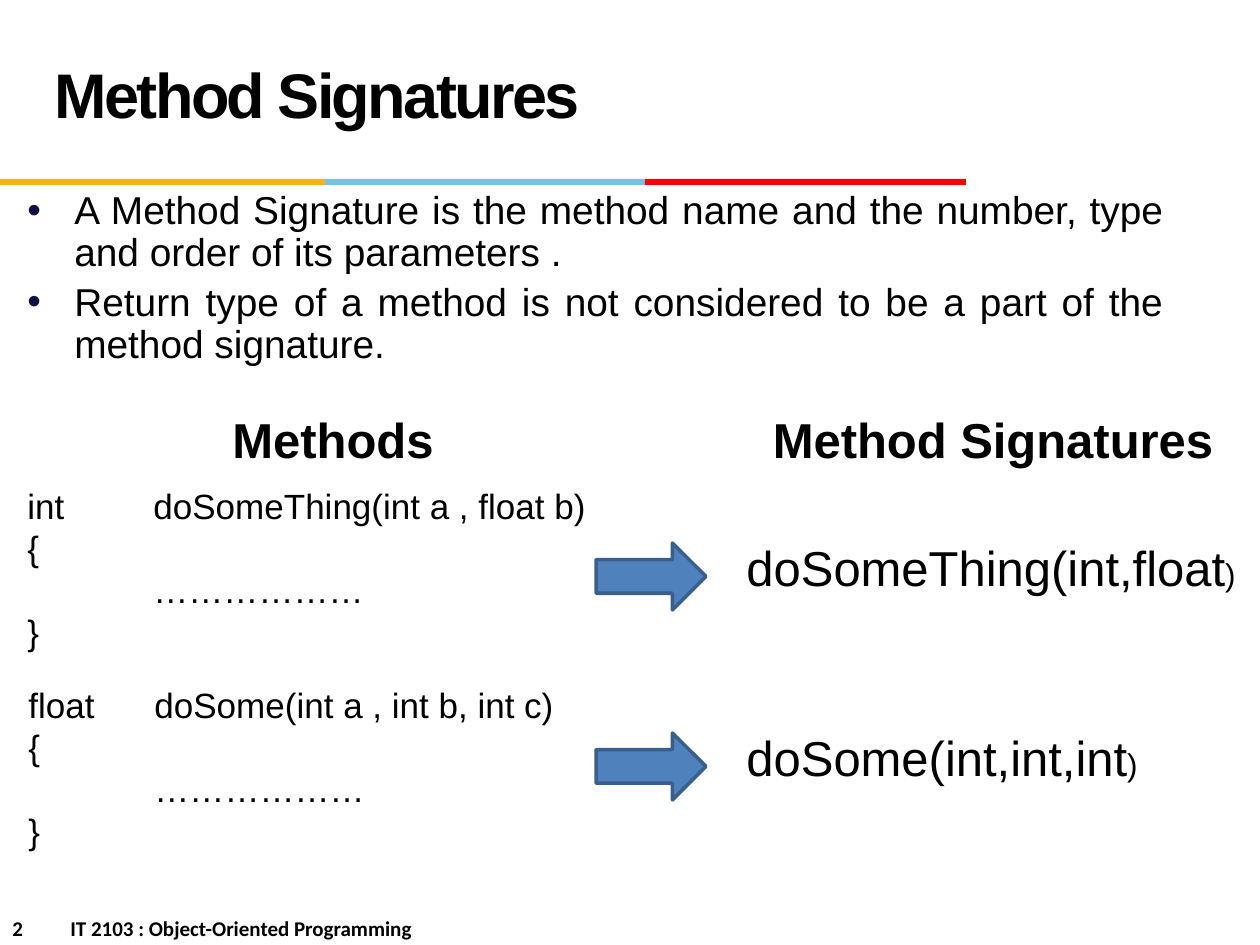
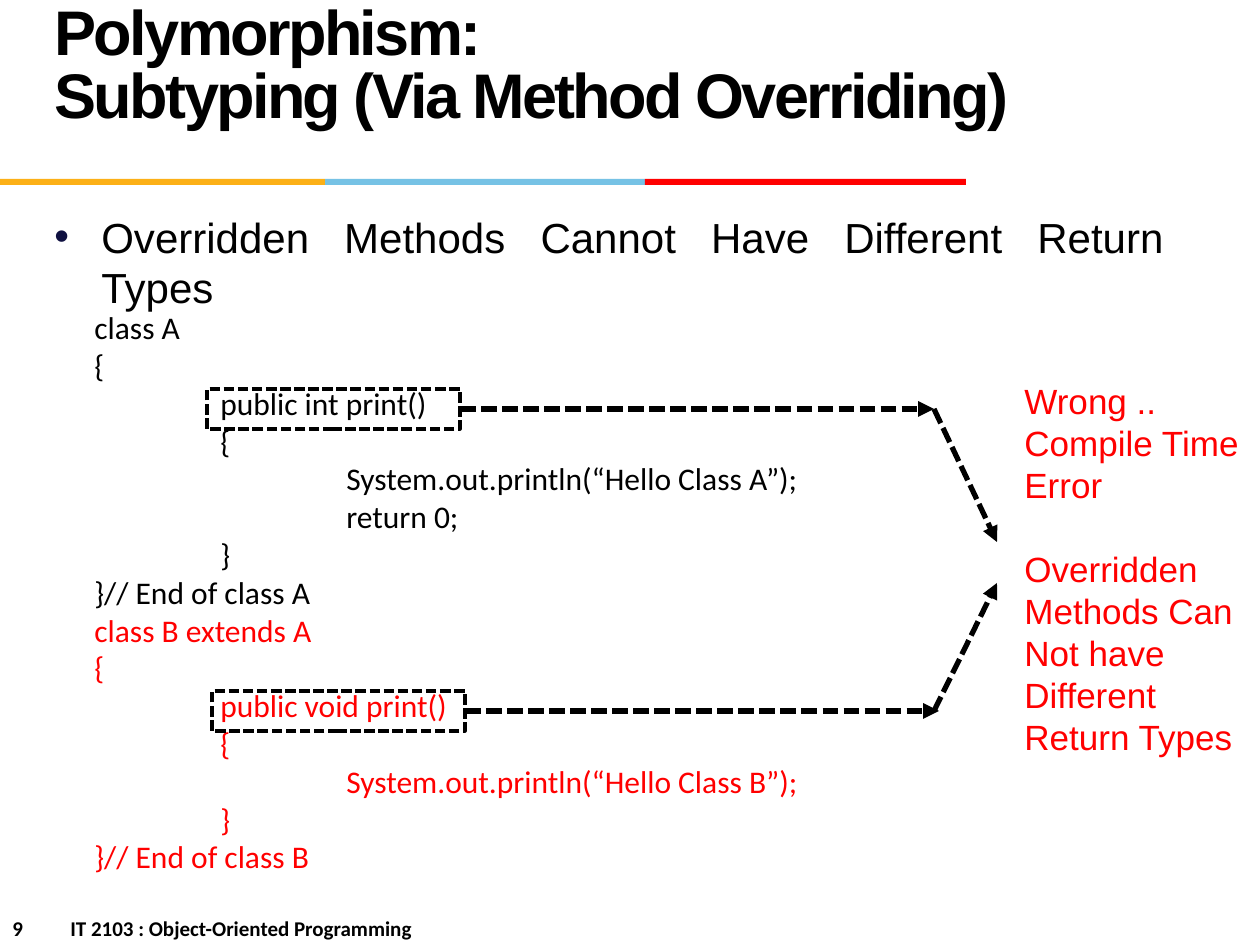
from lxml.etree import SubElement
from pptx import Presentation
from pptx.dml.color import RGBColor
from pptx.enum.dml import MSO_LINE
from pptx.enum.shapes import MSO_CONNECTOR, MSO_SHAPE
from pptx.enum.text import MSO_ANCHOR, MSO_AUTO_SIZE, PP_ALIGN
from pptx.oxml.ns import qn
from pptx.util import Emu, Pt

BLACK = RGBColor(0x00, 0x00, 0x00)
RED = RGBColor(0xFF, 0x00, 0x00)
AMBER = RGBColor(0xFC, 0xB0, 0x17)
SKY = RGBColor(0x76, 0xC2, 0xE5)
BLUE = RGBColor(0x4F, 0x81, 0xBD)
DARK_BLUE = RGBColor(0x3A, 0x5F, 0x8C)
BULLET = RGBColor(0x10, 0x11, 0x41)
EMU_PER_PX = 914400 / 126
TAB = 126


def px(length):
    return Emu(round(length * EMU_PER_PX))


def add_text(page, place, lines, size, color=BLACK, font="Arial", bold=False,
             align=PP_ALIGN.LEFT, tabs=(), bullet=False, wrap=True):
    """Add a text box with one paragraph for each line."""
    box = page.shapes.add_textbox(*map(px, place))
    frame = box.text_frame
    frame.word_wrap = wrap
    for index, line in enumerate(lines):
        para = frame.paragraphs[0] if index == 0 else frame.add_paragraph()
        para.alignment = align
        properties = para._p.get_or_add_pPr()
        if bullet:
            properties.set("marL", str(px(47)))
            properties.set("indent", str(px(-47)))
            tint = SubElement(properties, qn("a:buClr"))
            SubElement(tint, qn("a:srgbClr"), val=str(BULLET))
            SubElement(properties, qn("a:buFont"), typeface="Arial")
            SubElement(properties, qn("a:buChar"), char="•")
        if tabs:
            stops = SubElement(properties, qn("a:tabLst"))
            for stop in tabs:
                SubElement(stops, qn("a:tab"), pos=str(px(stop)), algn="l")
        span = para.add_run()
        span.text = line
        span.font.name = font
        span.font.size = Pt(size)
        span.font.bold = bold
        span.font.color.rgb = color
    return box


deck = Presentation()
deck.slide_width, deck.slide_height = px(1260), px(945)

# Shared title, colour bands and footer
pages = []
for number, title_lines, title_width in (
    (2, ["Method Signatures"], 872),
    (9, ["Polymorphism:", "Subtyping (Via Method Overriding)"], 1154),
):
    page = deck.slides.add_slide(deck.slide_layouts[5])
    pages.append(page)
    for left, width, color in ((0, 325, AMBER), (325, 320, SKY), (645, 321, RED)):
        band = page.shapes.add_shape(MSO_SHAPE.RECTANGLE, px(left), px(179), px(width), px(6))
        band.shadow.inherit = False
        band.fill.solid()
        band.fill.fore_color.rgb = color
        band.line.fill.background()
    add_text(page, (0, 909, 630, 38), [f"{number}\tIT 2103 : Object-Oriented Programming"],
             12, font="Calibri", bold=True, tabs=(58,))

    title = page.shapes.title
    title.left, title.top, title.width, title.height = map(px, (42, 20, title_width, 158))
    frame = title.text_frame
    frame.auto_size = MSO_AUTO_SIZE.NONE
    frame.word_wrap = True
    frame.vertical_anchor = MSO_ANCHOR.MIDDLE
    # Each extra line rises above the first one's place
    frame.margin_bottom = px(6 + 63 * (len(title_lines) - 1))
    for index, line in enumerate(title_lines):
        para = frame.paragraphs[0] if index == 0 else frame.add_paragraph()
        para.alignment = PP_ALIGN.LEFT
        para.line_spacing = Pt(36)
        para.space_before = Pt(0)
        span = para.add_run()
        span.text = line
        span.font.name = "Arial"
        span.font.size = Pt(36)
        span.font.bold = True
        span.font.color.rgb = BLACK
        span._r.get_or_add_rPr().set("spc", "-150")

signatures, overriding = pages

# Method signatures: definition
definition = add_text(signatures, (15, 185, 1162, 189), [
    "A Method Signature is the method name and the number, type and order of its parameters .",
    "Return type of a method is not considered to be a part of the method signature.",
], 22.2, align=PP_ALIGN.JUSTIFY, bullet=True)
for para in definition.text_frame.paragraphs:
    para.line_spacing = 0.9
definition.text_frame.paragraphs[1].space_before = Pt(4.4)

# Method signatures: column headings
for left, heading in ((66, "Methods"), (726, "Method Signatures")):
    add_text(signatures, (left, 403, 534, 72), [heading], 28, bold=True,
             align=PP_ALIGN.CENTER)

# Method signatures: each method, arrow and signature
for left, code_top, arrow_top, declaration, signature, width in (
    (15, 478, 543, "int \tdoSomeThing(int a , float b)", "doSomeThing(int,float", 522),
    (16, 677, 733, "float \tdoSome(int a , int b, int c)", "doSome(int,int,int", 422),
):
    add_text(signatures, (left, code_top, 586, 183),
             [declaration, "{", "\t………………", "}"], 20, tabs=(TAB,))
    arrow = signatures.shapes.add_shape(MSO_SHAPE.RIGHT_ARROW, px(596), px(arrow_top),
                                        px(110), px(67))
    arrow.shadow.inherit = False
    arrow.fill.solid()
    arrow.fill.fore_color.rgb = BLUE
    arrow.line.color.rgb = DARK_BLUE
    arrow.line.width = Pt(2)
    label = add_text(signatures, (734, arrow_top - 12, width, 72), [signature], 28, wrap=False)
    span = label.text_frame.paragraphs[0].add_run()
    span.text = ")"
    span.font.name = "Arial"
    span.font.size = Pt(18)
    span.font.color.rgb = BLACK

# Overriding: rule
add_text(overriding, (42, 205, 1134, 357),
         ["Overridden Methods Cannot Have Different Return Types"], 24,
         align=PP_ALIGN.JUSTIFY, bullet=True)

# Overriding: code of both classes, class B in red
class_a = [
    "class A",
    "{",
    "\tpublic int print()",
    "\t{",
    "\t\tSystem.out.println(“Hello Class A”);",
    "\t\treturn 0;",
    "\t}",
    "}// End of class A",
]
class_b = [
    "class B extends A",
    "{",
    "\tpublic void print()",
    "\t{",
    "\t\tSystem.out.println(“Hello Class B”);",
    "\t}",
    "}// End of class B",
]
code = add_text(overriding, (82, 302, 757, 585), class_a + class_b, 18, font="Calibri",
                tabs=(TAB, 2 * TAB))
for para in code.text_frame.paragraphs[len(class_a):]:
    para.runs[0].font.color.rgb = RED

# Overriding: dashed frames and arrows to the error
for left, top, arrow_end, tip in ((207, 389, 934, 542), (212, 691, 939, 583)):
    outline = overriding.shapes.add_shape(MSO_SHAPE.RECTANGLE, px(left), px(top),
                                          px(253), px(40))
    outline.shadow.inherit = False
    outline.fill.background()
    outline.line.color.rgb = BLACK
    outline.line.width = Pt(2)
    outline.line.dash_style = MSO_LINE.SQUARE_DOT
    middle = top + 20
    for start, end in (((left + 253, middle), (arrow_end, middle)),
                       ((934, middle), (997, tip))):
        arrow = overriding.shapes.add_connector(MSO_CONNECTOR.STRAIGHT,
                                                *map(px, start + end))
        if start[0] == left + 253:
            arrow.begin_connect(outline, 3)
        arrow.line.color.rgb = BLACK
        arrow.line.width = Pt(3)
        arrow.line.dash_style = MSO_LINE.SQUARE_DOT
        SubElement(arrow.line._get_or_add_ln(), qn("a:tailEnd"), type="triangle")
        SubElement(arrow._element.spPr, qn("a:effectLst"))

# Overriding: error message
error = add_text(overriding, (1012, 373, 253, 394), [
    "Wrong ..",
    "Compile Time Error",
    "Overridden Methods Can Not have Different Return Types",
], 20, color=RED)
error.text_frame.paragraphs[2].space_before = Pt(24)

deck.save("out.pptx")
